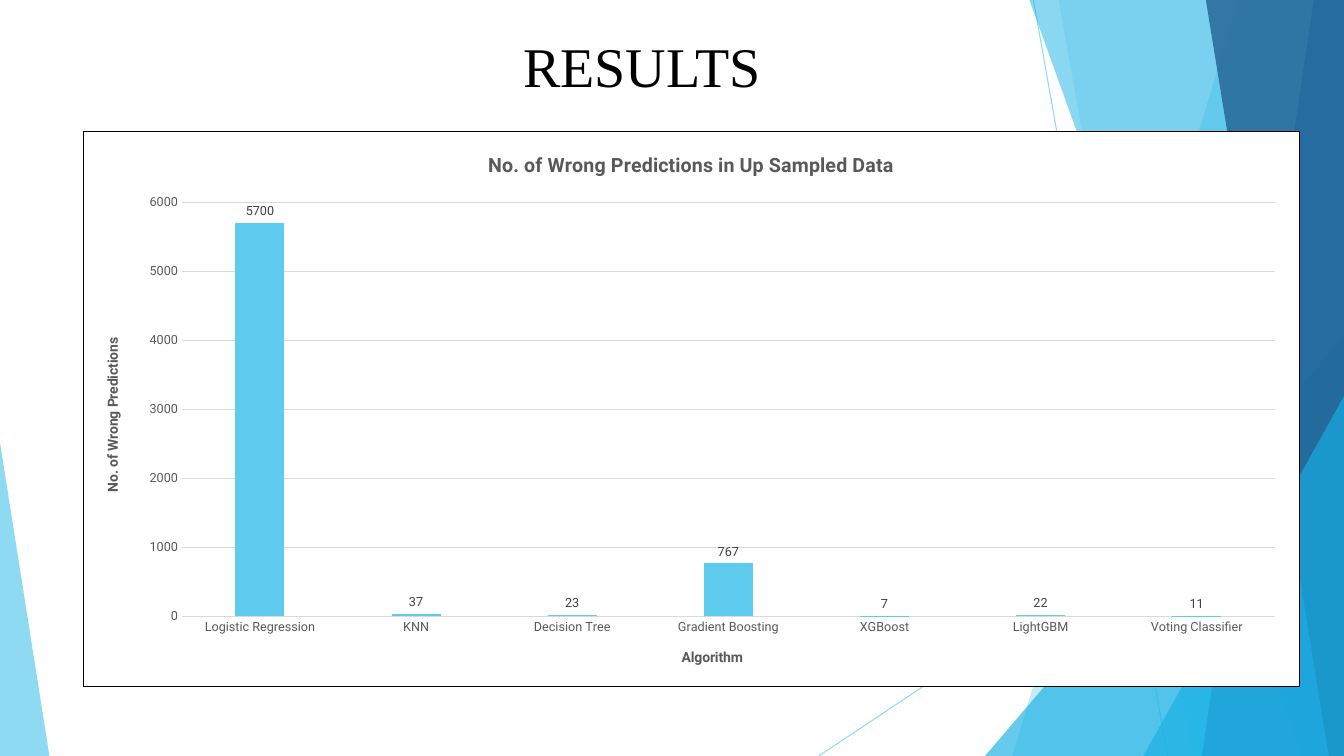
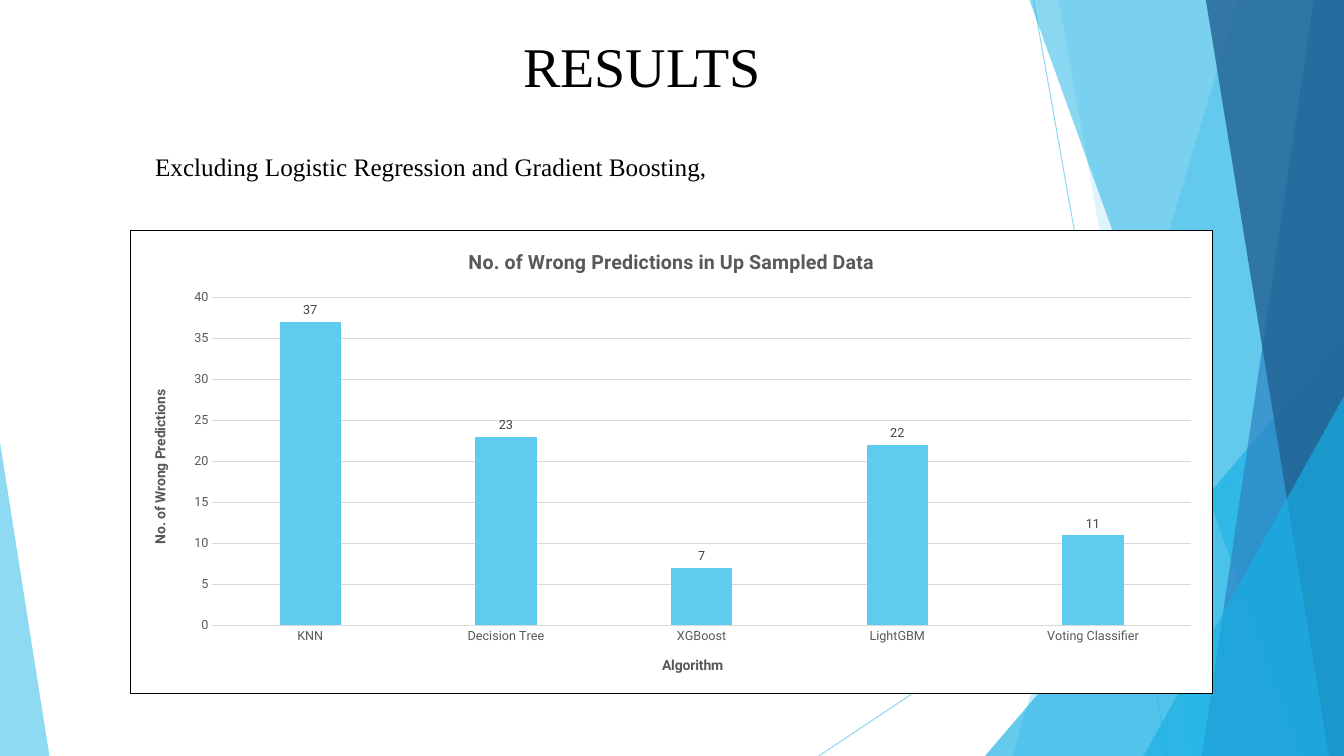
from lxml.etree import SubElement
from pptx import Presentation
from pptx.chart.data import CategoryChartData
from pptx.dml.color import RGBColor
from pptx.enum.chart import XL_CHART_TYPE, XL_LABEL_POSITION, XL_TICK_MARK
from pptx.enum.shapes import MSO_CONNECTOR, MSO_SHAPE
from pptx.enum.text import MSO_ANCHOR, MSO_AUTO_SIZE, PP_ALIGN
from pptx.oxml import parse_xml
from pptx.oxml.ns import nsdecls, qn
from pptx.util import Inches, Pt

SKY = RGBColor(0x5F, 0xCB, 0xEF)
CYAN = RGBColor(0x17, 0xB0, 0xE4)
BLUE = RGBColor(0x2E, 0x83, 0xC3)
NAVY = RGBColor(0x22, 0x62, 0x92)
BLACK = RGBColor(0, 0, 0)
LABEL_GRAY = RGBColor(0x40, 0x40, 0x40)
TEXT_GRAY = RGBColor(0x59, 0x59, 0x59)
GRID_GRAY = RGBColor(0xD9, 0xD9, 0xD9)

SLIDE_WIDTH, SLIDE_HEIGHT = 13.33, 7.5
TEXT_FONT = "Times New Roman"
CHART_FONT = "Roboto"
TITLE_BOX = (5.09, 0.26, 5.8, 0.77)

WRONG_PREDICTIONS = {
    "Logistic Regression": 5700,
    "KNN": 37,
    "Decision Tree": 23,
    "Gradient Boosting": 767,
    "XGBoost": 7,
    "LightGBM": 22,
    "Voting Classifier": 11,
}
EXCLUDED = ("Logistic Regression", "Gradient Boosting")


def set_opacity(shape, percent):
    for color in shape.element.spPr.iter(qn("a:srgbClr")):
        SubElement(color, qn("a:alpha")).set("val", str(percent * 1000))


def paint_facet(shape, color, opacity):
    shape.shadow.inherit = False
    shape.fill.solid()
    shape.fill.fore_color.rgb = color
    shape.line.fill.background()
    set_opacity(shape, opacity)
    return shape


def add_ray(slide, start, end):
    ray = slide.shapes.add_connector(
        MSO_CONNECTOR.STRAIGHT, *map(Inches, start + end))
    ray.line.color.rgb = SKY
    ray.line.width = Pt(0.75)
    set_opacity(ray, 70)
    SubElement(ray.element.spPr, qn("a:effectLst"))
    return ray


def add_right_band(slide, top_x, bottom_x, color, opacity):
    builder = slide.shapes.build_freeform(Inches(top_x), 0)
    corners = [(SLIDE_WIDTH, 0), (SLIDE_WIDTH, SLIDE_HEIGHT), (bottom_x, SLIDE_HEIGHT)]
    builder.add_line_segments([(Inches(x), Inches(y)) for x, y in corners])
    return paint_facet(builder.convert_to_shape(), color, opacity)


def add_bottom_triangle(slide, left, top, width, apex, color, opacity):
    triangle = slide.shapes.add_shape(
        MSO_SHAPE.ISOSCELES_TRIANGLE,
        *map(Inches, (left, top, width, SLIDE_HEIGHT - top)))
    triangle.adjustments[0] = apex
    return paint_facet(triangle, color, opacity)


def move_to_layout(layout, shapes):
    for index, shape in enumerate(shapes):
        shape.element.xpath("./*/p:cNvPr")[0].set("id", str(100 + index))
        layout.shapes.element.insert(2 + index, shape.element)


def decorate_layout(layout, slide):
    move_to_layout(layout, [
        add_ray(slide, (10.25, 0), (11.58, SLIDE_HEIGHT)),
        add_ray(slide, (SLIDE_WIDTH, 4.03), (8.12, SLIDE_HEIGHT)),
        add_right_band(slide, 12.28, 10.04, SKY, 36),
        add_right_band(slide, 10.5, 11.83, SKY, 20),
        add_bottom_triangle(slide, 9.77, 3.33, 3.56, 1, CYAN, 66),
        add_right_band(slide, 10.21, 12.91, CYAN, 50),
        add_right_band(slide, 13.03, 11.92, BLUE, 70),
        add_right_band(slide, 11.96, 13.18, NAVY, 80),
        add_bottom_triangle(slide, 11.34, 3.93, 1.99, 1, CYAN, 66),
        add_bottom_triangle(slide, 0, 4.39, 0.49, 0, SKY, 70),
    ])


def write_text(shape, box, text, size):
    shape.left, shape.top, shape.width, shape.height = map(Inches, box)
    frame = shape.text_frame
    frame.word_wrap = True
    frame.auto_size = MSO_AUTO_SIZE.NONE
    frame.vertical_anchor = MSO_ANCHOR.TOP
    paragraph = frame.paragraphs[0]
    paragraph.alignment = PP_ALIGN.LEFT
    run = paragraph.add_run()
    run.text = text
    format_font(run.font, TEXT_FONT, size, BLACK)


def format_font(font, name, size, color, bold=False):
    font.name = name
    font.size = Pt(size)
    font.color.rgb = color
    font.bold = bold


def write_chart_title(owner, text, size):
    run = owner.text_frame.paragraphs[0].add_run()
    run.text = text
    format_font(run.font, CHART_FONT, size, TEXT_GRAY, True)


def frame_chart(chart):
    chart.element.find(qn("c:chart")).addnext(parse_xml(
        f'<c:spPr {nsdecls("c", "a")}>'
        '<a:solidFill><a:srgbClr val="FFFFFF"/></a:solidFill>'
        '<a:ln w="9525"><a:solidFill><a:srgbClr val="000000"/></a:solidFill></a:ln>'
        '</c:spPr>'))


def format_axis(axis, title):
    axis.major_tick_mark = axis.minor_tick_mark = XL_TICK_MARK.NONE
    format_font(axis.tick_labels.font, CHART_FONT, 9, TEXT_GRAY)
    write_chart_title(axis.axis_title, title, 10)


def add_predictions_chart(slide, box, predictions, maximum, step):
    data = CategoryChartData()
    data.categories = list(predictions)
    data.add_series("Series 1", list(predictions.values()))
    chart = slide.shapes.add_chart(
        XL_CHART_TYPE.COLUMN_CLUSTERED, *map(Inches, box), data).chart
    format_font(chart.font, CHART_FONT, 10, BLACK)
    frame_chart(chart)
    chart.has_legend = False
    write_chart_title(chart.chart_title, "No. of Wrong Predictions in Up Sampled Data", 14)

    format_axis(chart.category_axis, "Algorithm")
    chart.category_axis.format.line.color.rgb = GRID_GRAY
    chart.category_axis.format.line.width = Pt(0.75)
    value_axis = chart.value_axis
    format_axis(value_axis, "No. of Wrong Predictions")
    value_axis.format.line.fill.background()
    value_axis.minimum_scale = 0
    value_axis.maximum_scale = maximum
    value_axis.major_unit = step
    gridlines = value_axis.major_gridlines.format.line
    gridlines.color.rgb = GRID_GRAY
    gridlines.width = Pt(0.75)

    plot = chart.plots[0]
    plot.gap_width = 219
    plot.overlap = -27
    plot.vary_by_categories = False
    fill = plot.series[0].format.fill
    fill.solid()
    fill.fore_color.rgb = SKY
    plot.has_data_labels = True
    labels = plot.data_labels
    labels.show_value = True
    labels.position = XL_LABEL_POSITION.OUTSIDE_END
    format_font(labels.font, CHART_FONT, 9, LABEL_GRAY)


def add_results_slide(presentation, layout):
    slide = presentation.slides.add_slide(layout)
    write_text(slide.shapes.title, TITLE_BOX, "RESULTS", 40)
    return slide


def main():
    presentation = Presentation()
    presentation.slide_width = Inches(SLIDE_WIDTH)
    presentation.slide_height = Inches(SLIDE_HEIGHT)
    layout = presentation.slide_layouts.get_by_name("Title Only")

    all_results = add_results_slide(presentation, layout)
    decorate_layout(layout, all_results)
    add_predictions_chart(
        all_results, (0.82, 1.3, 12.07, 5.52), WRONG_PREDICTIONS, 6000, 1000)

    close_results = add_results_slide(presentation, layout)
    note = close_results.shapes.add_textbox(0, 0, 0, 0)
    write_text(note, (1.44, 1.45, 8.88, 0.71),
               "Excluding Logistic Regression and Gradient Boosting,", 18)
    remaining = {name: count for name, count in WRONG_PREDICTIONS.items()
                 if name not in EXCLUDED}
    add_predictions_chart(close_results, (1.29, 2.28, 10.74, 4.61), remaining, 40, 5)

    presentation.save("out.pptx")


if __name__ == "__main__":
    main()
